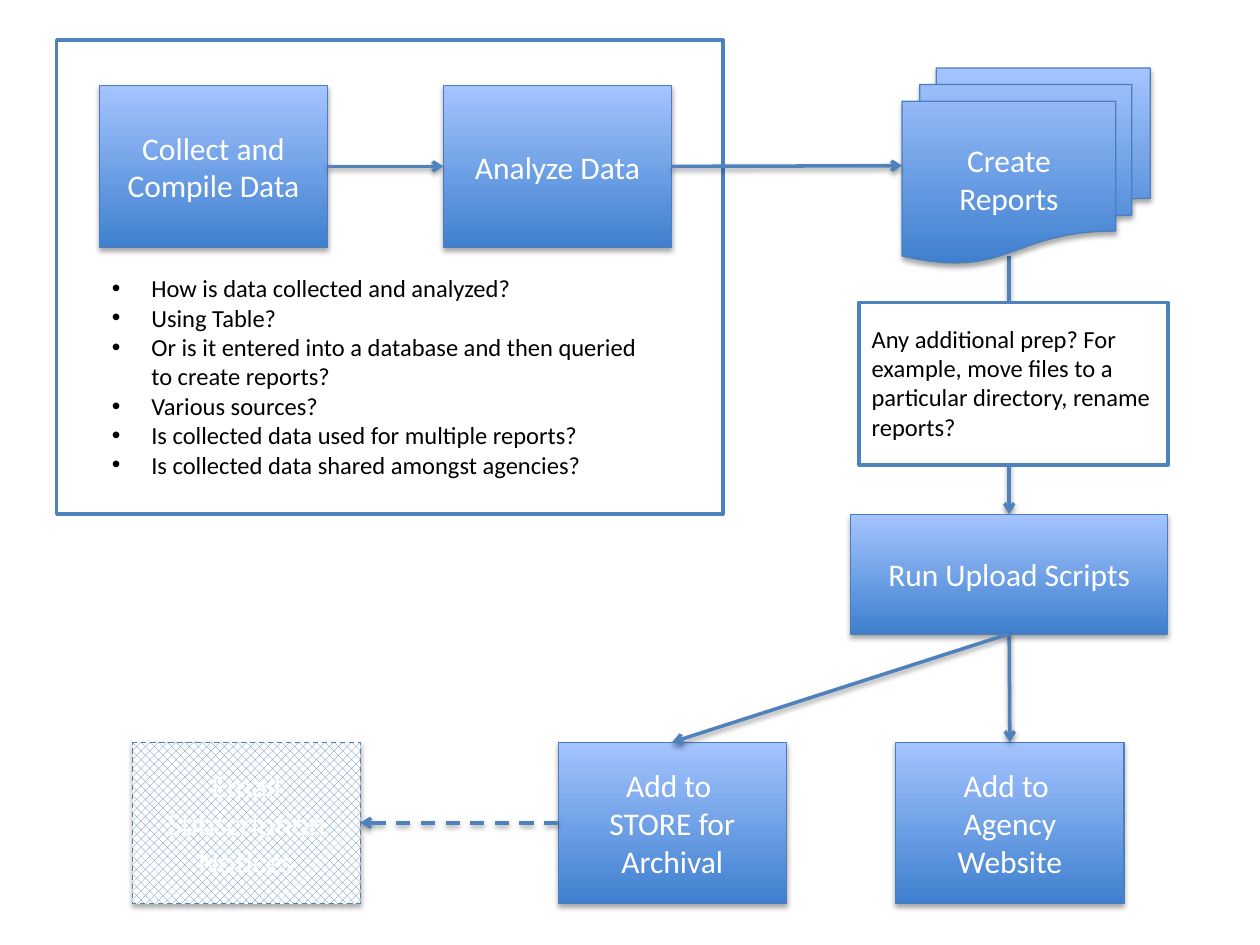
from dataclasses import dataclass

from lxml.etree import SubElement
from pptx import Presentation
from pptx.dml.color import RGBColor
from pptx.enum.dml import MSO_LINE, MSO_PATTERN
from pptx.enum.shapes import MSO_CONNECTOR, MSO_SHAPE
from pptx.enum.text import MSO_ANCHOR, MSO_AUTO_SIZE, PP_ALIGN
from pptx.oxml.ns import qn
from pptx.util import Pt


@dataclass(frozen=True)
class Theme:
    font: str = "Calibri"
    head: int = 18
    body: int = 14
    white: RGBColor = RGBColor(255, 255, 255)
    black: RGBColor = RGBColor(0, 0, 0)
    blue: RGBColor = RGBColor(0x4F, 0x81, 0xBD)
    edge: RGBColor = RGBColor(0x4B, 0x7E, 0xBC)
    dark: RGBColor = RGBColor(0x3F, 0x80, 0xCE)
    light: RGBColor = RGBColor(0xA4, 0xC4, 0xFF)


THEME = Theme()
TOP, LEFT, BOTTOM, RIGHT = range(4)
WIDE, HIGH = 130.3, 92.2
UPPER, LOWER = 49, 424.1


def set_font(frame, size, color):
    for par in frame.paragraphs:
        for run in par.runs:
            run.font.name = THEME.font
            run.font.size = Pt(size)
            run.font.color.rgb = color


def add_shade(item, dist, alpha):
    props = item._element.spPr
    for old in props.findall(qn("a:effectLst")):
        props.remove(old)
    effects = SubElement(props, qn("a:effectLst"))
    shade = SubElement(effects, qn("a:outerShdw"), blurRad=str(Pt(3.1)),
                       dist=str(Pt(dist)), dir="5400000", rotWithShape="0")
    color = SubElement(shade, qn("a:srgbClr"), val="000000")
    SubElement(color, qn("a:alpha"), val=str(alpha * 1000))


def add_frame(slide, x, y, wide, high):
    frame = slide.shapes.add_shape(MSO_SHAPE.RECTANGLE, Pt(x), Pt(y), Pt(wide), Pt(high))
    frame.shadow.inherit = False
    frame.fill.solid()
    frame.fill.fore_color.rgb = THEME.white
    frame.line.color.rgb = THEME.blue
    frame.line.width = Pt(2)


def fill_grade(shape):
    shape.fill.gradient()
    shape.fill.gradient_angle = 90
    for stop, color in zip(shape.fill.gradient_stops, (THEME.dark, THEME.light)):
        stop.color.rgb = color
    shape.line.color.rgb = THEME.edge


def fill_hatch(shape):
    shape.fill.patterned()
    shape.fill.pattern = MSO_PATTERN.PERCENT_50
    shape.fill.fore_color.rgb = THEME.blue
    shape.fill.back_color.rgb = THEME.white
    shape.line.color.rgb = THEME.blue
    shape.line.dash_style = MSO_LINE.DASH


def add_step(slide, text, x, y, wide=WIDE, high=HIGH,
             kind=MSO_SHAPE.FLOWCHART_PROCESS, paint=fill_grade):
    step = slide.shapes.add_shape(kind, Pt(x), Pt(y), Pt(wide), Pt(high))
    paint(step)
    step.line.width = Pt(0.75)
    add_shade(step, 1.8, 35)
    frame = step.text_frame
    frame.text = text
    frame.word_wrap = True
    frame.vertical_anchor = MSO_ANCHOR.MIDDLE
    for par in frame.paragraphs:
        par.alignment = PP_ALIGN.CENTER
    set_font(frame, THEME.head, THEME.white)
    return step


def add_note(slide, text, x, y, wide, high, listed=False):
    note = slide.shapes.add_textbox(Pt(x), Pt(y), Pt(wide), Pt(high))
    frame = note.text_frame
    frame.word_wrap = True
    frame.auto_size = MSO_AUTO_SIZE.SHAPE_TO_FIT_TEXT
    frame.text = text
    set_font(frame, THEME.body, THEME.black)
    if listed:
        for par in frame.paragraphs:
            props = par._p.get_or_add_pPr()
            props.set("marL", str(Pt(22.5)))
            props.set("indent", str(Pt(-22.5)))
            SubElement(props, qn("a:buFont"), typeface="Arial")
            SubElement(props, qn("a:buChar"), char="•")


def add_arrow(slide, start, end, dashed=False):
    points = [Pt(n) for n in (*start, *end)]
    arrow = slide.shapes.add_connector(MSO_CONNECTOR.STRAIGHT, *points)
    arrow.line.color.rgb = THEME.blue
    arrow.line.width = Pt(2)
    if dashed:
        arrow.line.dash_style = MSO_LINE.DASH
    SubElement(arrow.line._get_or_add_ln(), qn("a:tailEnd"), type="arrow")
    add_shade(arrow, 1.6, 38)
    return arrow


def link(slide, first, out, last, into, dashed=False):
    arrow = add_arrow(slide, (0, 0), (0, 0), dashed)
    arrow.begin_connect(first, out)
    arrow.end_connect(last, into)


def main():
    deck = Presentation()
    deck.slide_width, deck.slide_height = Pt(720), Pt(540)
    slide = deck.slides.add_slide(deck.slide_layouts[6])

    add_arrow(slide, (576.7, 146.2), (576.7, 293.8))
    add_frame(slide, 491, 172.8, 176.4, 92.9)
    add_frame(slide, 32.4, 23, 380.9, 270.7)

    collect = add_step(slide, "Collect and Compile Data", 56.9, UPPER)
    study = add_step(slide, "Analyze Data", 253.4, UPPER)
    report = add_step(slide, "Create Reports", 515.5, 38.9, 141.8, 111.6,
                      MSO_SHAPE.FLOWCHART_MULTIDOCUMENT)
    questions = (
        "How is data collected and analyzed?",
        "Using Table?",
        "Or is it entered into a database and then queried to create reports?",
        "Various sources?",
        "Is collected data used for multiple reports?",
        "Is collected data shared amongst agencies?",
    )
    add_note(slide, "\n".join(questions), 56.9, 152.6, 326.9, 126, True)
    upload = add_step(slide, "Run Upload Scripts", 486.2, 293.8, 181, 68.4)
    add_note(slide, "Any additional prep? For example, move files to a "
             "particular directory, rename reports?", 491, 181.4, 185.8, 74.9)

    site = add_step(slide, "Add to \vAgency Website", 511.9, LOWER)
    store = add_step(slide, "Add to \vSTORE for Archival", 319, LOWER)
    email = add_step(slide, "Email\nSubscription Notices", 75.6, LOWER, paint=fill_hatch)

    link(slide, collect, RIGHT, study, LEFT)
    link(slide, study, RIGHT, report, LEFT)
    link(slide, upload, BOTTOM, site, TOP)
    link(slide, upload, BOTTOM, store, TOP)
    link(slide, store, LEFT, email, RIGHT, True)

    deck.save("out.pptx")


if __name__ == "__main__":
    main()
